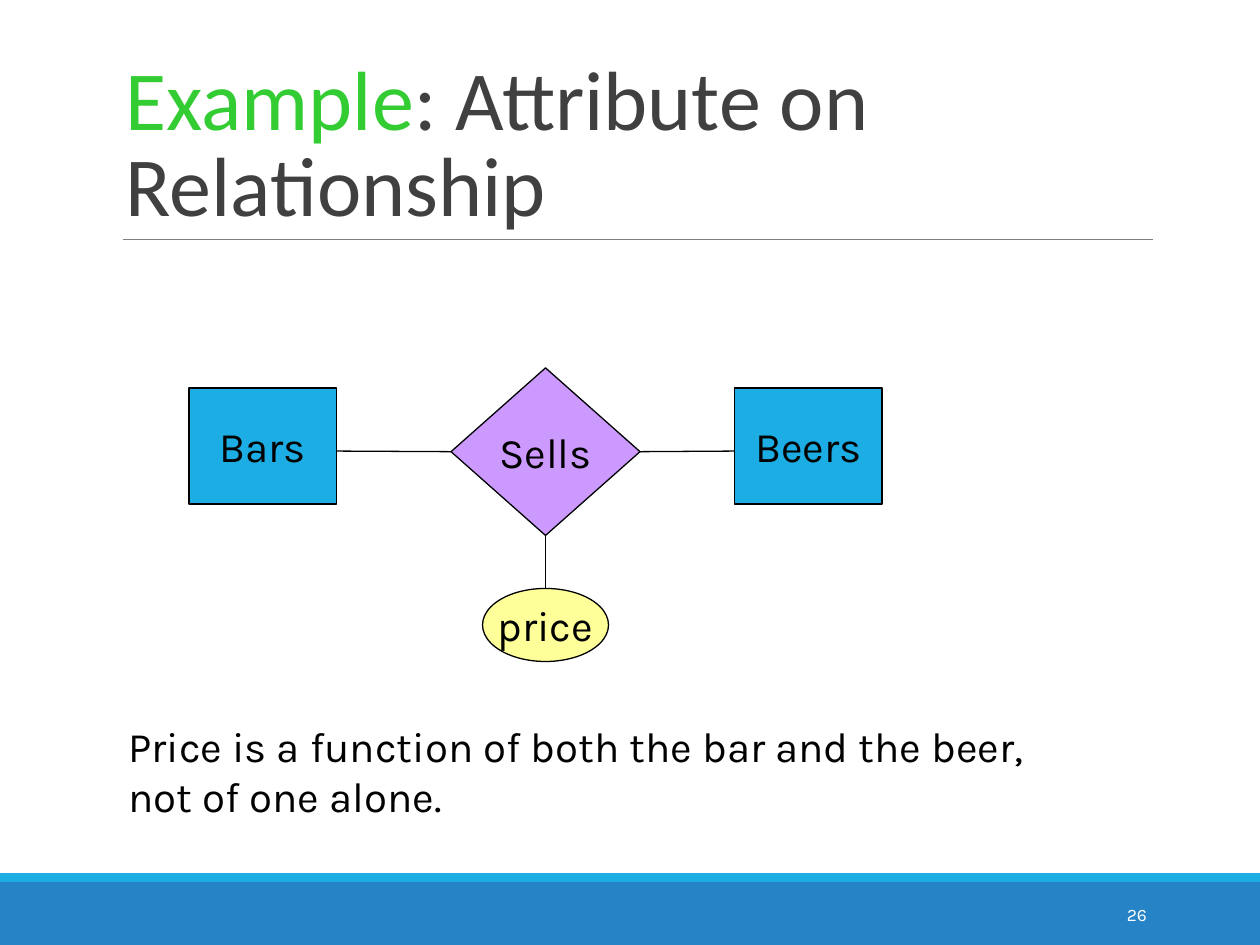
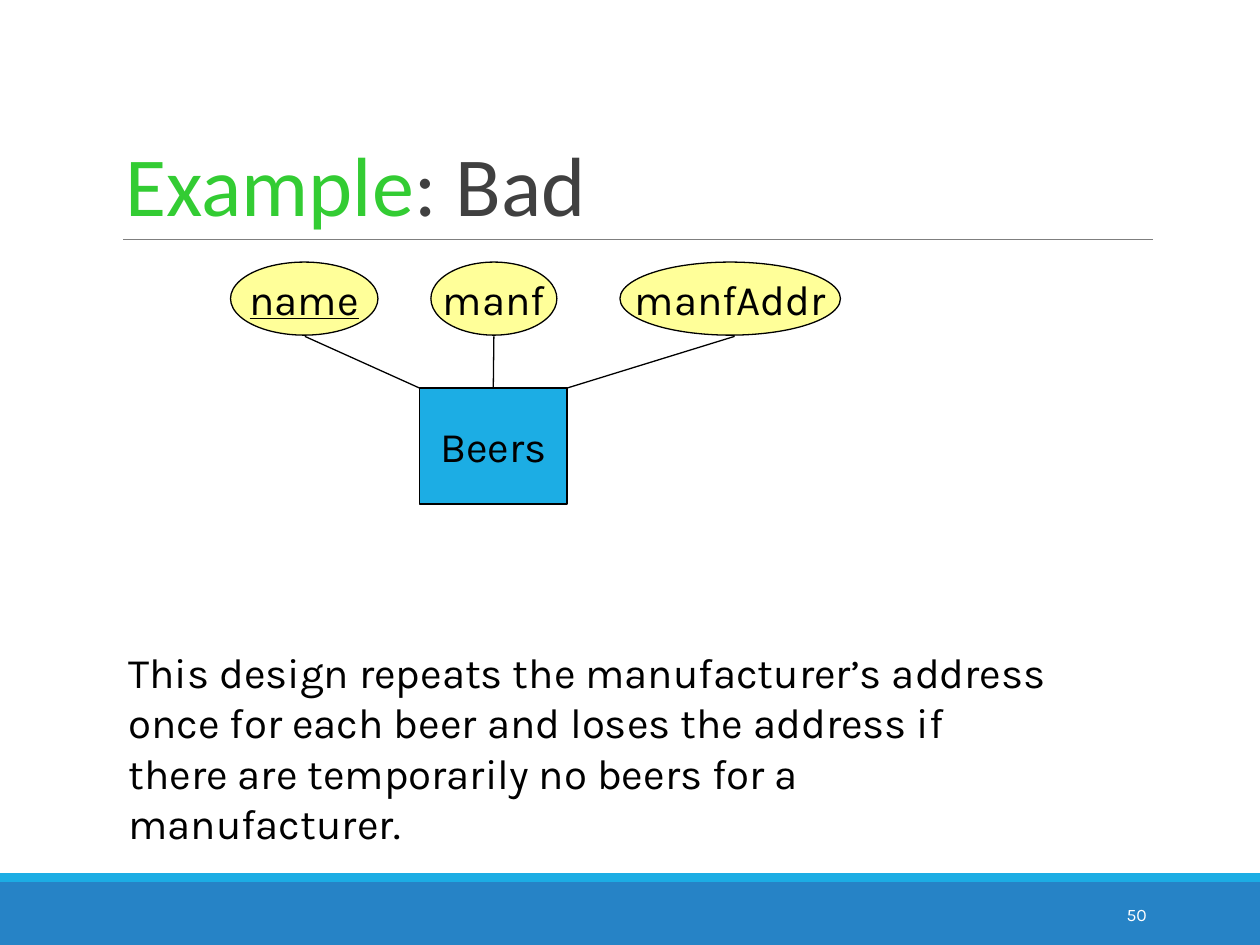
from lxml import etree
from pptx import Presentation
from pptx import util as u
from pptx.dml.color import RGBColor
from pptx.enum import shapes, text
from pptx.oxml.ns import qn

COLORS = {
    "band": "2683C6", "entity": "1CADE4", "relation": "CC99FF",
    "attribute": "FFFF99", "accent": "33CC33", "title": "404040",
    "rule": "7F7F7F", "ink": "000000", "white": "FFFFFF",
}
TITLE_FONT, BODY_FONT = "Calibri", "Karla"
MIDDLE, CENTER = text.MSO_ANCHOR.MIDDLE, text.PP_ALIGN.CENTER


def rgb(name):
    return RGBColor.from_string(COLORS[name])


def inches(*values):
    return [u.Inches(v) for v in values]


class Deck:
    """Holds the shared style and the slide being built."""

    def __init__(self):
        self.prs = Presentation()
        self.prs.slide_width, self.prs.slide_height = inches(10, 7.5)
        self.s = None

    def slide(self, topic, number):
        self.s = self.prs.slides.add_slide(self.prs.slide_layouts[6])
        # Footer bands and title rule
        self.shape("RECTANGLE", (0, 7, 10, 0.5), "band")
        self.shape("RECTANGLE", (0, 6.93, 10, 0.07), "entity")
        self.line((0.98, 1.9), (9.15, 1.9), "rule", 0.5)
        # Title
        p = self.textbox((0.9, 0.31, 8.25, 1.59), [""], 48, "title",
                         TITLE_FONT, text.MSO_ANCHOR.BOTTOM).paragraphs[0]
        p.line_spacing = 0.85
        for words, color in (("Example", "accent"), (": " + topic, "title")):
            r = p.add_run()
            r.text = words
            r.font.color.rgb = rgb(color)
        # Slide number
        tf = self.textbox((8.12, 7.06, 1.08, 0.4), [str(number)], 10, "white",
                          anchor=MIDDLE)
        tf.paragraphs[0].alignment = text.PP_ALIGN.RIGHT

    def style(self, p, size, color, font=BODY_FONT):
        p.font.name, p.font.size = font, u.Pt(size)
        p.font.color.rgb = rgb(color)

    def textbox(self, box, paragraphs, size=24, color="ink", font=BODY_FONT,
                anchor=text.MSO_ANCHOR.TOP):
        tf = self.s.shapes.add_textbox(*inches(*box)).text_frame
        tf.word_wrap = True
        tf.vertical_anchor = anchor
        tf.text = "\n".join(paragraphs)
        for p in tf.paragraphs:
            self.style(p, size, color, font)
        return tf

    def shape(self, kind, box, fill):
        sp = self.s.shapes.add_shape(shapes.MSO_SHAPE[kind], *inches(*box))
        sp.shadow.inherit = False
        sp.fill.solid()
        sp.fill.fore_color.rgb = rgb(fill)
        sp.line.fill.background()
        return sp

    def node(self, kind, label, box, fill, underline=None):
        sp = self.shape(kind, box, fill)
        sp.line.color.rgb = rgb("ink")
        sp.line.width = u.Pt(0.75)
        tf = sp.text_frame
        tf.word_wrap = False
        tf.vertical_anchor = MIDDLE
        tf.text = label
        p = tf.paragraphs[0]
        p.alignment = CENTER
        self.style(p, 24, "ink")
        p.font.underline = underline
        if underline:
            p.runs[0].font.underline = True
        return sp

    def entity(self, label, left):
        return self.node("RECTANGLE", label, (left, 3.08, 1.17, 0.92), "entity")

    def relation(self, label, left, top):
        return self.node("DIAMOND", label, (left, top, 1.5, 1.33), "relation")

    def attribute(self, label, left, top, width=1, key=None):
        return self.node("OVAL", label, (left, top, width, 0.58), "attribute", key)

    def line(self, start, end, color="ink", width=0.75, begin=None, finish=None):
        """begin and finish are optional (shape, side) pairs to join."""
        c = self.s.shapes.add_connector(shapes.MSO_CONNECTOR.STRAIGHT,
                                        *inches(*start, *end))
        c.line.color.rgb = rgb(color)
        c.line.width = u.Pt(width)
        etree.SubElement(c._element.spPr, qn("a:effectLst"))
        if begin:
            c.begin_connect(*begin)
        if finish:
            c.end_connect(*finish)


def attribute_on_relationship(deck):
    deck.slide("Attribute on Relationship", 26)
    # Entities, relationship and its attribute
    deck.entity("Bars", 1.5)
    deck.entity("Beers", 5.83)
    sells = deck.relation("Sells", 3.58, 2.92)
    price = deck.attribute("price", 3.83, 4.67)
    # Links
    deck.line((5.08, 3.58), (5.83, 3.58), begin=(sells, 3))
    deck.line((3.58, 3.58), (2.67, 3.58), begin=(sells, 1))
    deck.line((4.33, 4.25), (4.33, 4.67), begin=(sells, 2), finish=(price, 0))
    # Explanation
    deck.textbox((0.92, 5.67, 7.52, 1.3),
                 ["Price is a function of both the bar and the beer,",
                  "not of one alone."])


def bad_design(deck):
    deck.slide("Bad", 50)
    # Entity and attributes
    beers = deck.entity("Beers", 3.33)
    deck.attribute("name", 1.83, 2.08, 1.17, key=True)
    deck.attribute("manf", 3.42, 2.08)
    deck.attribute("manfAddr", 4.92, 2.08, 1.75)
    # Links
    deck.line((2.42, 2.67), (3.33, 3.08))
    deck.line((3.92, 2.67), (3.92, 3.08), finish=(beers, 0))
    deck.line((5.83, 2.67), (4.5, 3.08))
    # Explanation
    deck.textbox((0.92, 5.08, 7.52, 1.7),
                 ["This design repeats the manufacturer’s address once for each "
                  "beer and loses the address if there are temporarily no beers "
                  "for a manufacturer."])


def main():
    deck = Deck()
    attribute_on_relationship(deck)
    bad_design(deck)
    deck.prs.save("out.pptx")


if __name__ == "__main__":
    main()
